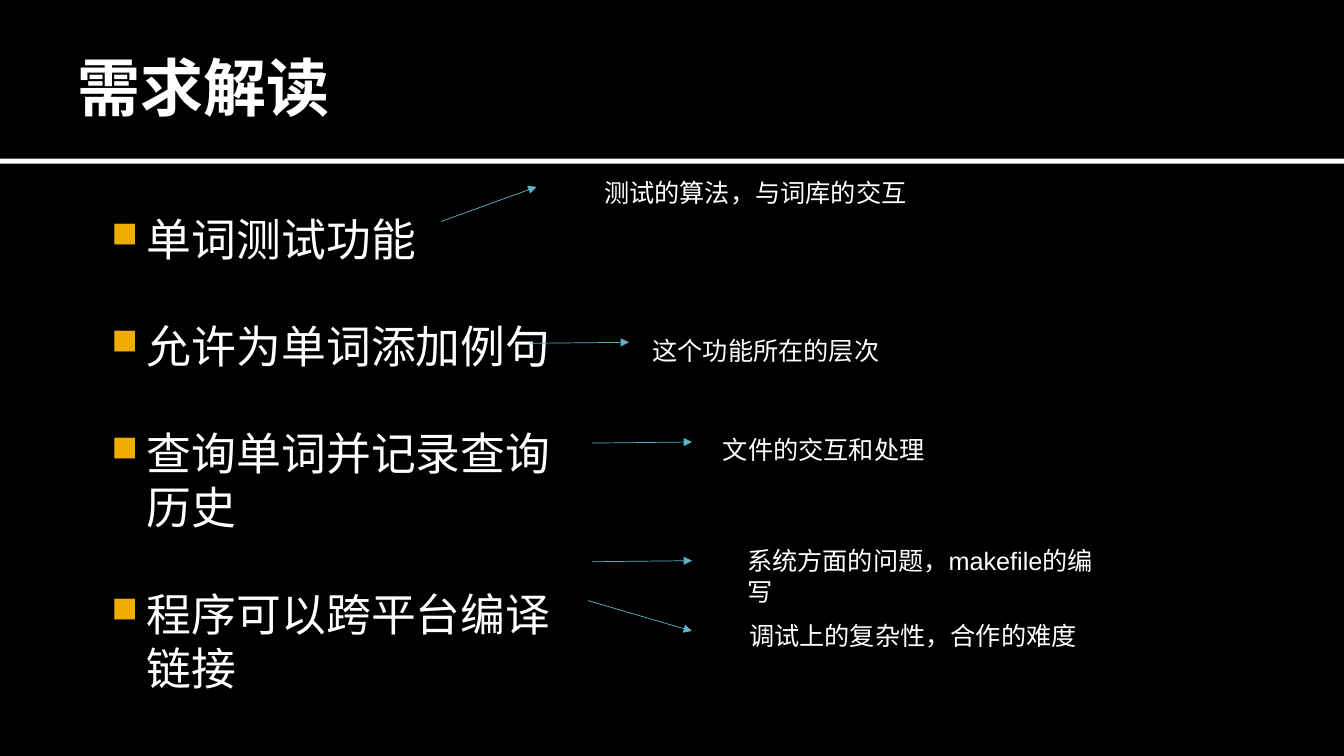
from dataclasses import dataclass

from lxml.etree import SubElement
from pptx import Presentation
from pptx.dml.color import RGBColor as Rgb
from pptx.enum.shapes import MSO_CONNECTOR as Conn, MSO_SHAPE as Kind
from pptx.enum.text import MSO_ANCHOR as Anchor
from pptx.oxml.ns import qn
from pptx.slide import Slide
from pptx.text.text import TextFrame, _Paragraph as Para
from pptx.util import Emu, Pt

SCALE = 9525
WHITE, BLACK, TEAL, GOLD = "FFFFFF", "000000", "5BB3CA", "F0AD00"


@dataclass
class Note:
    """A short remark beside a point."""
    left: int
    top: int
    width: int
    text: str


@dataclass
class Arrow:
    """A thin arrow from a point to a remark."""
    x1: int
    y1: int
    x2: int
    y2: int


POINTS = ["单词测试功能", "允许为单词添加例句", "查询单词并记录查询历史", "程序可以跨平台编译链接"]
NOTES = [
    Note(566, 164, 444, "测试的算法，与词库的交互"),
    Note(612, 315, 244, "这个功能所在的层次"),
    Note(679, 409, 224, "文件的交互和处理"),
    Note(702, 515, 365, "系统方面的问题，makefile的编写"),
    Note(704, 586, 340, "调试上的复杂性，合作的难度"),
]
ARROWS = [
    Arrow(505, 327, 599, 326),
    Arrow(420, 211, 511, 178),
    Arrow(560, 572, 659, 601),
    Arrow(564, 535, 659, 534),
    Arrow(564, 422, 659, 421),
]


def px(count: int) -> Emu:
    """Turn pixels into EMU."""
    return Emu(count * SCALE)


def color(code: str) -> Rgb:
    """Turn a hex string into a colour."""
    return Rgb.from_string(code)


def style(para: Para, text: str, size: int, bold: bool = False) -> None:
    """Fill a paragraph with white Arial text."""
    para.text = text
    font = para.font
    font.name, font.size, font.bold = "Arial", Pt(size), bold
    font.color.rgb = color(WHITE)


def add_box(slide: Slide, left: int, top: int, width: int, height: int) -> TextFrame:
    """Add a wrapping text box."""
    frame = slide.shapes.add_textbox(px(left), px(top), px(width), px(height)).text_frame
    frame.word_wrap = True
    return frame


def add_title(slide: Slide) -> None:
    """Add the heading and the bar under it."""
    bar = slide.shapes.add_shape(Kind.RECTANGLE, 0, px(151), px(1280), px(5))
    bar.shadow.inherit = False
    bar.fill.solid()
    bar.fill.fore_color.rgb = color(WHITE)
    bar.line.fill.background()
    frame = add_box(slide, 64, 16, 1152, 132)
    frame.vertical_anchor = Anchor.MIDDLE
    style(frame.paragraphs[0], "需求解读", 45, True)


def add_bullet(para: Para) -> None:
    """Give a paragraph a gold square and a hanging indent."""
    props = para._p.get_or_add_pPr()
    props.set("marL", str(px(46)))
    props.set("indent", str(px(-34)))
    tint = SubElement(props, qn("a:buClr"))
    SubElement(tint, qn("a:srgbClr"), val=GOLD)
    SubElement(props, qn("a:buSzPct"), val="80000")
    SubElement(props, qn("a:buChar"), char="■")


def add_points(slide: Slide) -> None:
    """Add the bulleted list."""
    frame = add_box(slide, 88, 192, 460, 457)
    frame.margin_left, frame.margin_top = px(6), px(10)
    for row, text in enumerate(POINTS):
        para = frame.add_paragraph() if row else frame.paragraphs[0]
        add_bullet(para)
        para.space_after = Pt(38)
        style(para, text, 32)


def add_note(slide: Slide, note: Note) -> None:
    """Add one remark."""
    frame = add_box(slide, note.left, note.top, note.width, 38)
    style(frame.paragraphs[0], note.text, 18)


def add_arrow(slide: Slide, arrow: Arrow) -> None:
    """Add one arrow."""
    line = slide.shapes.add_connector(
        Conn.STRAIGHT, px(arrow.x1), px(arrow.y1), px(arrow.x2), px(arrow.y2))
    line.line.width = Pt(0.5)
    line.line.color.rgb = color(TEAL)
    SubElement(line.line._get_or_add_ln(), qn("a:tailEnd"), type="triangle")
    SubElement(line._element.spPr, qn("a:effectLst"))


def main() -> None:
    """Build the slide and save it."""
    deck = Presentation()
    deck.slide_width, deck.slide_height = px(1280), px(720)
    slide = deck.slides.add_slide(deck.slide_layouts[6])
    slide.background.fill.solid()
    slide.background.fill.fore_color.rgb = color(BLACK)
    add_title(slide)
    add_points(slide)
    for arrow in ARROWS:
        add_arrow(slide, arrow)
    for note in NOTES:
        add_note(slide, note)
    deck.save("out.pptx")


if __name__ == "__main__":
    main()
